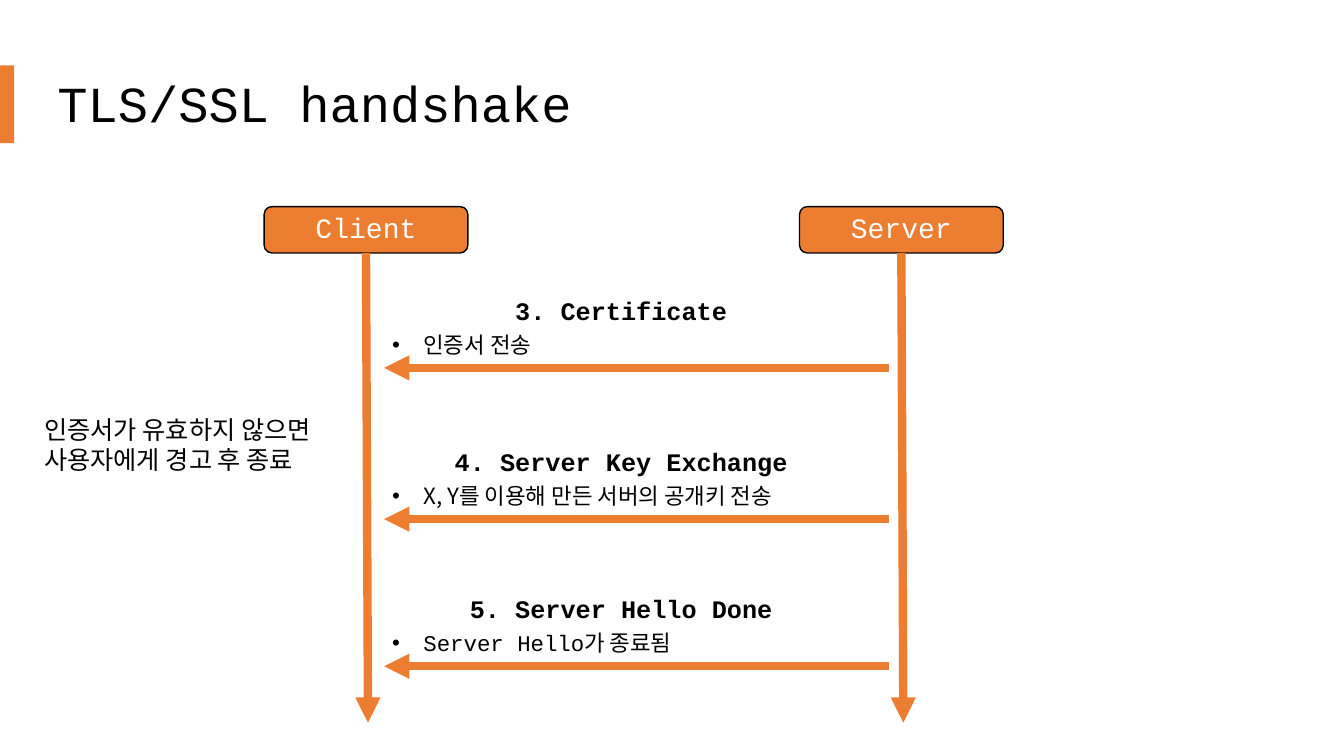
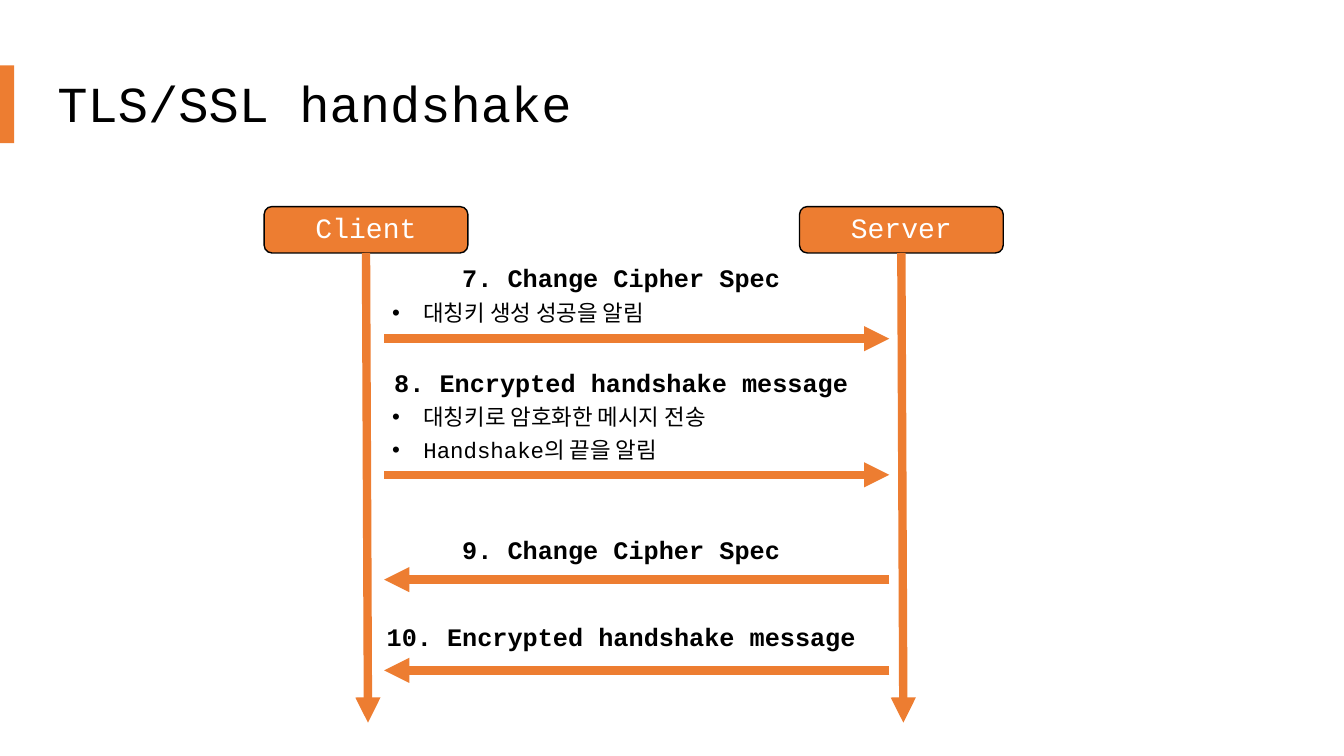
from lxml import etree
from pptx import Presentation
from pptx.dml.color import RGBColor
from pptx.enum.shapes import MSO_CONNECTOR as Line, MSO_SHAPE as Shape
from pptx.enum.text import MSO_ANCHOR as Anchor, MSO_AUTO_SIZE as AutoSize, PP_ALIGN as Align
from pptx.oxml.ns import qn
from pptx.util import Pt

PX = 9144  # EMU per px, 100 px to the inch
COLORS = {"accent": "ED7D31", "ink": "000000", "paper": "FFFFFF"}
MONO, SANS = "Courier New", "Noto Sans CJK KR"


def px(*lengths):
    return [length * PX for length in lengths]


def color(name):
    return RGBColor.from_string(COLORS[name])


def write(frame, text, *, size, font=MONO, ink="ink", bold=False, align=Align.LEFT,
          spacing=0.9, after=6, bullet=False):
    """Add one paragraph to a text frame, using the empty first one if it is free."""
    para = frame.paragraphs[0]
    if para.runs:
        para = frame.add_paragraph()
    para.alignment, para.line_spacing, para.space_after = align, spacing, Pt(after)
    if bullet:
        props = para._p.get_or_add_pPr()
        props.set("marL", str(41 * PX))
        props.set("indent", str(-31 * PX))
        etree.SubElement(props, qn("a:buFont"), typeface="Arial")
        etree.SubElement(props, qn("a:buChar"), char="•")
    span = para.add_run()
    span.text = text
    span.font.size, span.font.name, span.font.bold = Pt(size), font, bold
    span.font.color.rgb = color(ink)
    etree.SubElement(span._r.get_or_add_rPr(), qn("a:ea"), typeface=SANS)


class Deck:
    ARROW_LEFT, ARROW_RIGHT = 381, 882

    def __init__(self):
        self.deck = Presentation()
        self.deck.slide_width, self.deck.slide_height = px(1333, 750)
        self.page = None

    def add_page(self, title):
        self.page = self.deck.slides.add_slide(self.deck.slide_layouts[6])
        frame = self.text_area(47, 45, 1225, 121, anchor=Anchor.MIDDLE)
        write(frame, title, size=36, after=0)
        self.shape(Shape.RECTANGLE, 0, 65, 14, 77)

    def text_area(self, left, top, width, height, anchor=Anchor.TOP, inset=10):
        frame = self.page.shapes.add_textbox(*px(left, top, width, height)).text_frame
        frame.word_wrap, frame.auto_size = True, AutoSize.NONE
        frame.vertical_anchor = anchor
        frame.margin_left = frame.margin_right = inset * PX
        return frame

    def shape(self, kind, left, top, width, height, outline=None):
        box = self.page.shapes.add_shape(kind, *px(left, top, width, height))
        box.shadow.inherit = False
        box.fill.solid()
        box.fill.fore_color.rgb = color("accent")
        if outline:
            box.line.color.rgb = color(outline)
            box.line.width = Pt(1)
        else:
            box.line.fill.background()
        return box

    def arrow(self, x1, y1, x2, y2):
        arrow = self.page.shapes.add_connector(Line.STRAIGHT, *px(x1, y1, x2, y2))
        arrow.line.color.rgb = color("accent")
        arrow.line.width = Pt(6)
        props = arrow._element.spPr
        etree.SubElement(props.find(qn("a:ln")), qn("a:tailEnd"), type="triangle")
        etree.SubElement(props, qn("a:effectLst"))
        return arrow

    def participant(self, name, left):
        """Named box with its lifeline."""
        box = self.shape(Shape.ROUNDED_RECTANGLE, left, 205, 202, 46, outline="ink")
        box.text_frame.vertical_anchor = Anchor.MIDDLE
        write(box.text_frame, name, size=20, ink="paper", align=Align.CENTER)
        middle = left + 101
        self.arrow(middle, 251, middle + 2, 717).begin_connect(box, 2)

    def message(self, heading, bullets, top, arrow_y, to_server, font):
        """Heading and bullets above an arrow between the lifelines."""
        ends = [self.ARROW_LEFT, self.ARROW_RIGHT]
        start, end = ends if to_server else reversed(ends)
        self.arrow(start, arrow_y, end, arrow_y)
        frame = self.text_area(379, top, 474, 101 if bullets else 46, inset=0)
        write(frame, heading, size=18, bold=True, align=Align.CENTER)
        for bullet in bullets:
            write(frame, bullet, size=16, font=font, bullet=True)

    def note(self, lines, left, top, width, height):
        frame = self.text_area(left, top, width, height)
        for line in lines:
            write(frame, line, size=18, font=SANS, spacing=1.0, after=0)

    def handshake(self, messages):
        self.add_page("TLS/SSL handshake")
        for name, left in (("Client", 262), ("Server", 793)):
            self.participant(name, left)
        for message in messages:
            self.message(*message)


# Heading, bullets, text top, arrow height, to the server?, bullet font
SERVER_HELLO = [
    ("3. Certificate", ["인증서 전송"], 291, 365, False, SANS),
    ("4. Server Key Exchange", ["X, Y를 이용해 만든 서버의 공개키 전송"], 441, 515, False, SANS),
    ("5. Server Hello Done", ["Server Hello가 종료됨"], 587, 661, False, MONO),
]
FINISH = [
    ("7. Change Cipher Spec", ["대칭키 생성 성공을 알림"], 259, 336, True, MONO),
    ("8. Encrypted handshake message",
     ["대칭키로 암호화한 메시지 전송", "Handshake의 끝을 알림"], 363, 471, True, MONO),
    ("9. Change Cipher Spec", [], 529, 575, False, MONO),
    ("10. Encrypted handshake message", [], 615, 665, False, MONO),
]


def main():
    show = Deck()
    show.handshake(SERVER_HELLO)
    show.note(["인증서가 유효하지 않으면", "사용자에게 경고 후 종료"], 34, 406, 309, 71)
    show.handshake(FINISH)
    show.deck.save("out.pptx")


if __name__ == "__main__":
    main()
